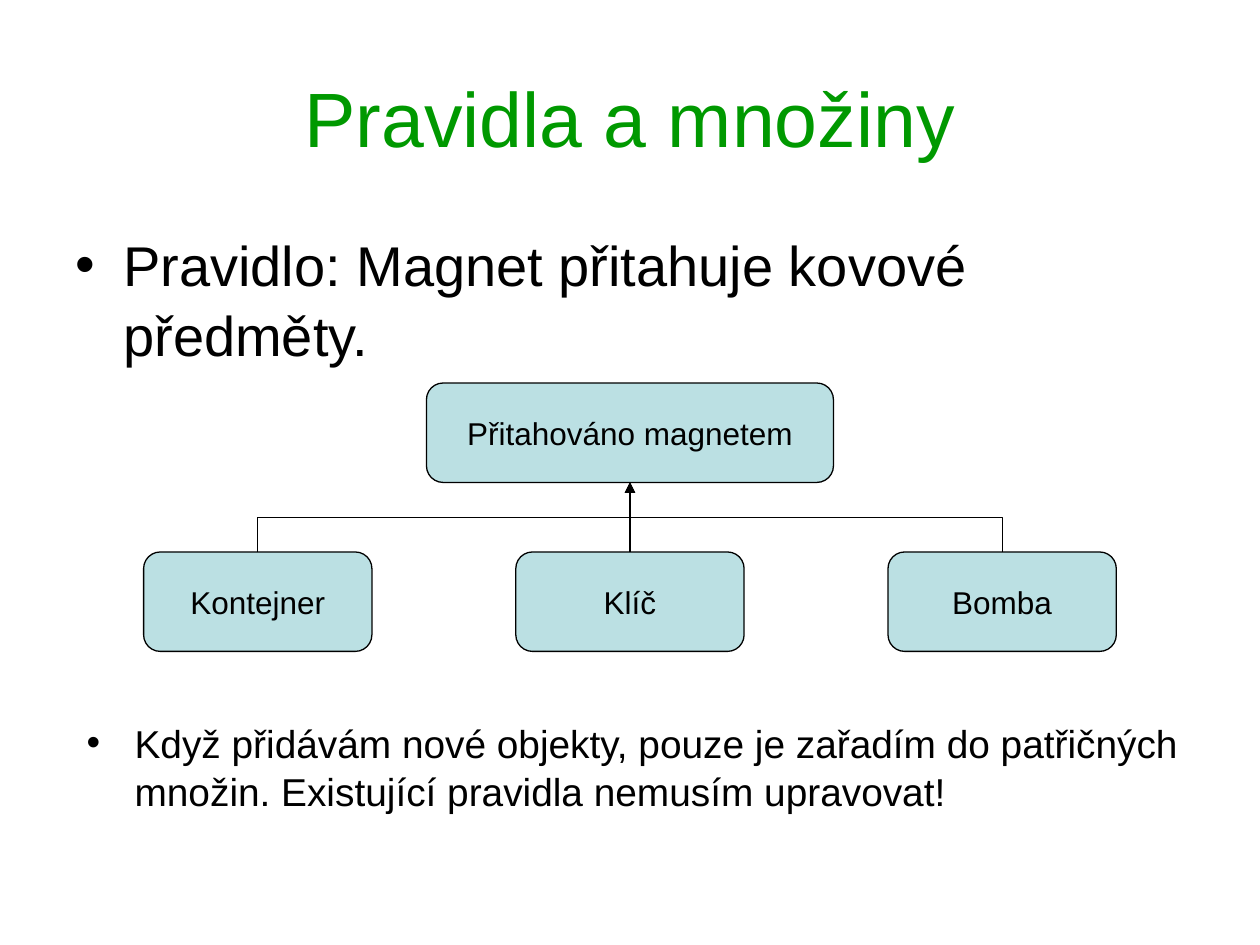
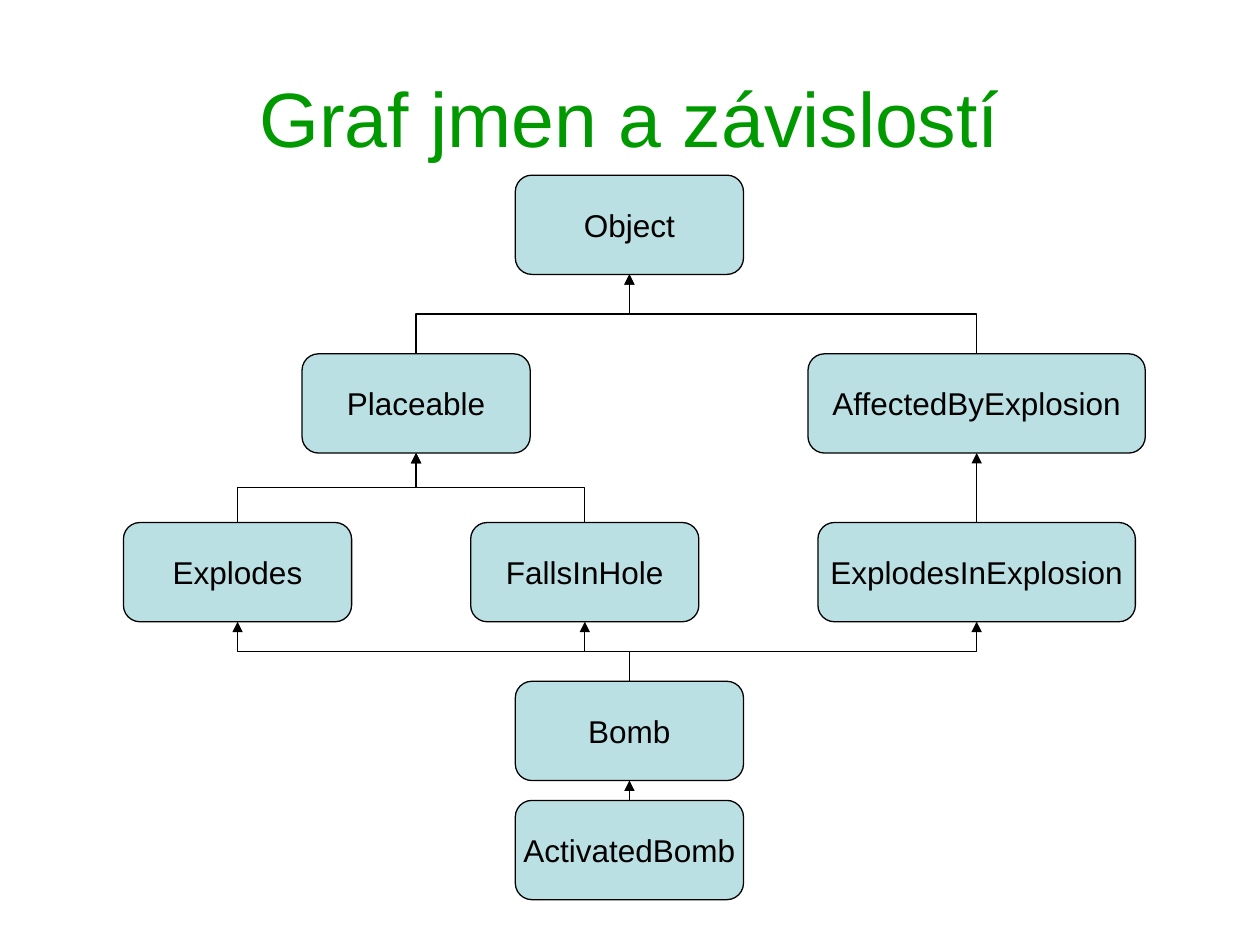
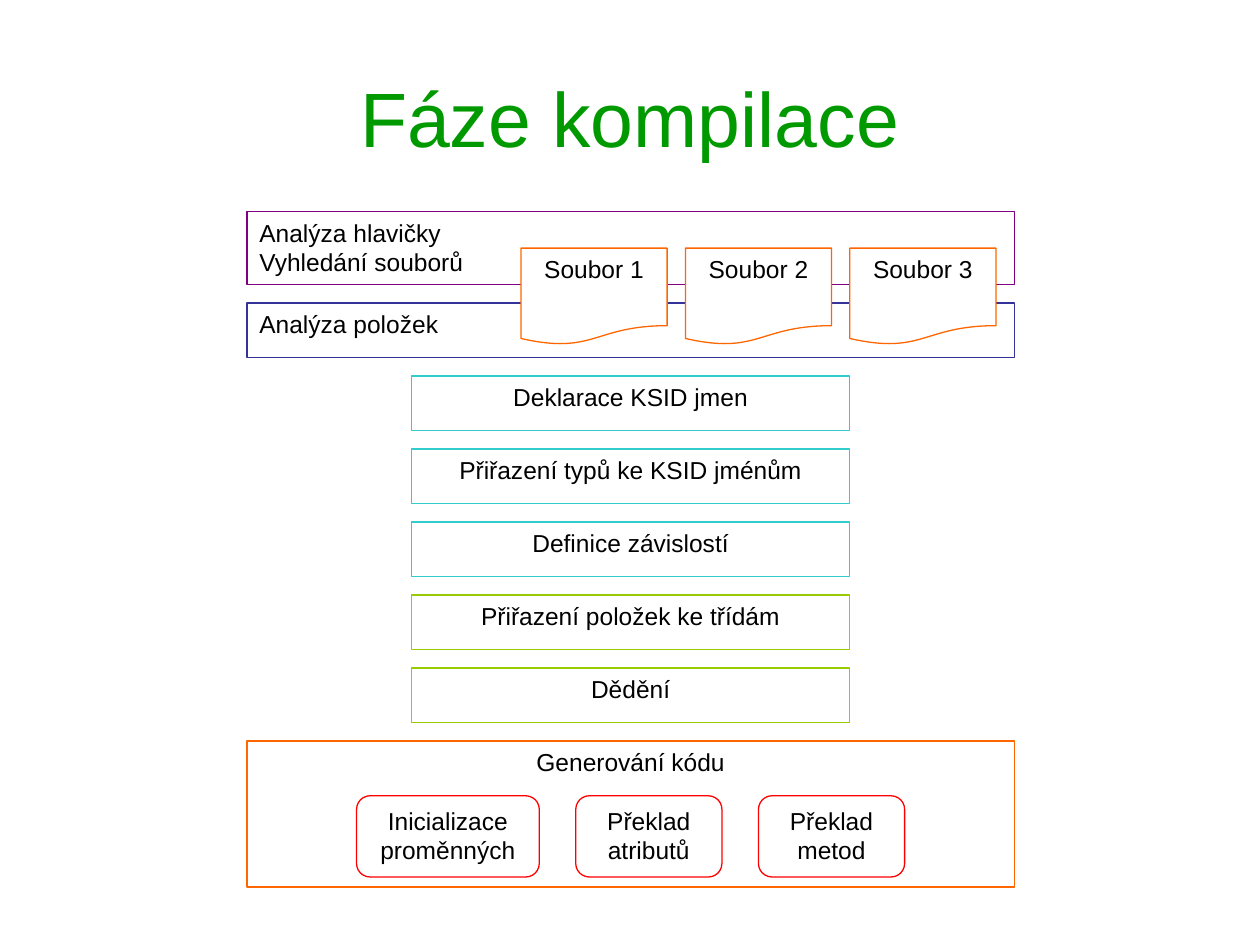
from dataclasses import dataclass

from lxml.etree import SubElement
from pptx import Presentation
from pptx.dml.color import RGBColor
from pptx.enum.shapes import MSO_CONNECTOR, MSO_SHAPE
from pptx.enum.text import MSO_ANCHOR, PP_ALIGN
from pptx.oxml.ns import qn
from pptx.util import Inches, Pt

FONT = "Arial"
BLACK = RGBColor(0x00, 0x00, 0x00)
WHITE = RGBColor(0xFF, 0xFF, 0xFF)
TITLE_GREEN = RGBColor(0x00, 0x99, 0x00)
NODE_BLUE = RGBColor(0xBB, 0xE0, 0xE3)
HEADER_PURPLE = RGBColor(0x80, 0x00, 0x80)
ITEMS_INDIGO = RGBColor(0x33, 0x33, 0x99)
NAMES_TEAL = RGBColor(0x33, 0xCC, 0xCC)
CLASSES_LIME = RGBColor(0x99, 0xCC, 0x00)
CODE_ORANGE = RGBColor(0xFF, 0x66, 0x00)
STEP_RED = RGBColor(0xFF, 0x00, 0x00)

LINE_WIDTH = Pt(0.75)
HANGING = Inches(0.38)
NODE_ROWS = 10
NODE_COLUMNS = 23
TOP_SITE, BOTTOM_SITE = 0, 2


@dataclass
class Box:
    left: float
    top: float
    width: float
    height: float

    def edges(self):
        return [Inches(value) for value in (self.left, self.top, self.width, self.height)]


@dataclass
class Grid:
    box: Box
    columns: int
    rows: int

    def cell(self, column, row, columns, rows):
        step_x = self.box.width / self.columns
        step_y = self.box.height / self.rows
        return Box(self.box.left + column * step_x, self.box.top + row * step_y,
                   columns * step_x, rows * step_y)


TITLE_BOX = Box(0.5, 0.3, 9, 1.25)


def write(frame, text, size, color=BLACK, align=PP_ALIGN.CENTER,
          anchor=MSO_ANCHOR.TOP, wrap=True):
    frame.text = text
    frame.word_wrap = wrap
    frame.vertical_anchor = anchor
    for para in frame.paragraphs:
        para.alignment = align
        for span in para.runs:
            span.font.name = FONT
            span.font.size = Pt(size)
            span.font.color.rgb = color


def add_page(deck, title):
    page = deck.slides.add_slide(deck.slide_layouts[6])
    frame = page.shapes.add_textbox(*TITLE_BOX.edges()).text_frame
    write(frame, title, 44, TITLE_GREEN, anchor=MSO_ANCHOR.MIDDLE)
    return page


def add_bullet(page, box, text, size):
    frame = page.shapes.add_textbox(*box.edges()).text_frame
    write(frame, text, size, align=PP_ALIGN.LEFT)
    para = frame.paragraphs[0]
    para.line_spacing = 1.05
    properties = para._p.get_or_add_pPr()
    properties.set("marL", str(HANGING))
    properties.set("indent", str(-HANGING))
    SubElement(properties, qn("a:buFont"), typeface=FONT)
    SubElement(properties, qn("a:buChar"), char="•")


def add_panel(page, kind, box, text, size, line, fill=WHITE, **style):
    panel = page.shapes.add_shape(kind, *box.edges())
    panel.shadow.inherit = False
    panel.fill.solid()
    panel.fill.fore_color.rgb = fill
    panel.line.color.rgb = line
    panel.line.width = LINE_WIDTH
    write(panel.text_frame, text, size, **style)
    return panel


def turn_upward(connector, start_x, start_y, end_x, end_y):
    rise, run = start_y - end_y, abs(end_x - start_x)
    connector.left = (start_x + end_x - rise) // 2
    connector.top = (start_y + end_y - run) // 2
    connector.width, connector.height = rise, run
    rightward = end_x > start_x
    frame = connector._element.spPr.find(qn("a:xfrm"))
    frame.set("rot", str((90 if rightward else 270) * 60000))
    frame.set("flipH", "1" if rightward else "0")
    frame.set("flipV", "1")


def add_arrow(page, child, parent):
    start_x, end_x = (node.left + node.width // 2 for node in (child, parent))
    start_y, end_y = child.top, parent.top + parent.height
    straight = abs(start_x - end_x) < Pt(1)
    kind = MSO_CONNECTOR.STRAIGHT if straight else MSO_CONNECTOR.ELBOW
    arrow = page.shapes.add_connector(kind, start_x, start_y, end_x, end_y)
    arrow.begin_connect(child, TOP_SITE)
    arrow.end_connect(parent, BOTTOM_SITE)
    if not straight:
        turn_upward(arrow, start_x, start_y, end_x, end_y)
    arrow.line.color.rgb = BLACK
    arrow.line.width = LINE_WIDTH
    SubElement(arrow.line._get_or_add_ln(), qn("a:tailEnd"), type="triangle")
    SubElement(arrow._element.spPr, qn("a:effectLst"))


def add_graph(page, grid, nodes, links):
    shapes = {}
    for name, center, row, columns in nodes:
        box = grid.cell(center - columns / 2, row, columns, NODE_ROWS)
        shapes[name] = add_panel(page, MSO_SHAPE.FLOWCHART_ALTERNATE_PROCESS, box, name, 18,
                                 BLACK, NODE_BLUE, anchor=MSO_ANCHOR.MIDDLE, wrap=False)
    for child, parent in links:
        add_arrow(page, shapes[child], shapes[parent])


def add_rules_page(deck):
    page = add_page(deck, "Pravidla a množiny")
    add_bullet(page, Box(0.5, 1.75, 9, 1.29), "Pravidlo: Magnet přitahuje kovové předměty.", 32)
    root = "Přitahováno magnetem"
    members = ["Kontejner", "Klíč", "Bomba"]
    nodes = [(root, 49, 0, 41)]
    nodes += [(name, 11.5 + 37.5 * index, 17, NODE_COLUMNS)
              for index, name in enumerate(members)]
    grid = Grid(Box(1.14, 3.04, 7.72, 2.13), 98, 27)
    add_graph(page, grid, nodes, [(name, root) for name in members])
    add_bullet(page, Box(0.59, 5.64, 9, 1.29),
               "Když přidávám nové objekty, pouze je zařadím do patřičných množin. "
               "Existující pravidla nemusím upravovat!", 22.2)


def add_dependency_page(deck):
    page = add_page(deck, "Graf jmen a závislostí")
    nodes = [
        ("Object", 51, 0, NODE_COLUMNS),
        ("Placeable", 29.5, 18, NODE_COLUMNS),
        ("AffectedByExplosion", 86, 18, 34),
        ("Explodes", 11.5, 35, NODE_COLUMNS),
        ("FallsInHole", 46.5, 35, NODE_COLUMNS),
        ("ExplodesInExplosion", 86, 35, 32),
        ("Bomb", 51, 51, NODE_COLUMNS),
        ("ActivatedBomb", 51, 63, NODE_COLUMNS),
    ]
    links = [
        ("ActivatedBomb", "Bomb"),
        ("Bomb", "FallsInHole"),
        ("Bomb", "ExplodesInExplosion"),
        ("Bomb", "Explodes"),
        ("Explodes", "Placeable"),
        ("FallsInHole", "Placeable"),
        ("ExplodesInExplosion", "AffectedByExplosion"),
        ("Placeable", "Object"),
        ("AffectedByExplosion", "Object"),
    ]
    add_graph(page, Grid(Box(0.98, 1.39, 8.11, 5.75), 103, 73), nodes, links)


def add_file_phases(page, grid):
    phases = [("Analýza hlavičky\nVyhledání souborů", 0, 4, HEADER_PURPLE),
              ("Analýza položek", 5, 3, ITEMS_INDIGO)]
    for text, row, rows, color in phases:
        add_panel(page, MSO_SHAPE.FLOWCHART_PROCESS, grid.cell(0, row, grid.columns, rows),
                  text, 14, color, align=PP_ALIGN.LEFT)
    for index in range(3):
        add_panel(page, MSO_SHAPE.FLOWCHART_DOCUMENT, grid.cell(15 + 9 * index, 2, 8, 5.3),
                  f"Soubor {index + 1}", 14, CODE_ORANGE)


def add_shared_phases(page, grid):
    phases = [("Deklarace KSID jmen", NAMES_TEAL),
              ("Přiřazení typů ke KSID jménům", NAMES_TEAL),
              ("Definice závislostí", NAMES_TEAL),
              ("Přiřazení položek ke třídám", CLASSES_LIME),
              ("Dědění", CLASSES_LIME)]
    for index, (text, color) in enumerate(phases):
        add_panel(page, MSO_SHAPE.FLOWCHART_PROCESS, grid.cell(9, 9 + 4 * index, 24, 3),
                  text, 14, color)


def add_code_phase(page, grid):
    add_panel(page, MSO_SHAPE.FLOWCHART_PROCESS, grid.cell(0, 29, grid.columns, 8),
              "Generování kódu", 14, CODE_ORANGE)
    steps = [("Inicializace proměnných", 6, 10),
             ("Překlad\natributů", 18, 8),
             ("Překlad\nmetod", 28, 8)]
    for text, column, columns in steps:
        add_panel(page, MSO_SHAPE.FLOWCHART_ALTERNATE_PROCESS,
                  grid.cell(column, 32, columns, 4.45), text, 14, STEP_RED)


def add_compilation_page(deck):
    page = add_page(deck, "Fáze kompilace")
    grid = Grid(Box(1.96, 1.68, 6.09, 5.36), 42, 37)
    for add_region in (add_file_phases, add_shared_phases, add_code_phase):
        add_region(page, grid)


def main():
    deck = Presentation()
    deck.slide_width, deck.slide_height = Inches(10), Inches(7.5)
    add_rules_page(deck)
    add_dependency_page(deck)
    add_compilation_page(deck)
    deck.save("out.pptx")


if __name__ == "__main__":
    main()
